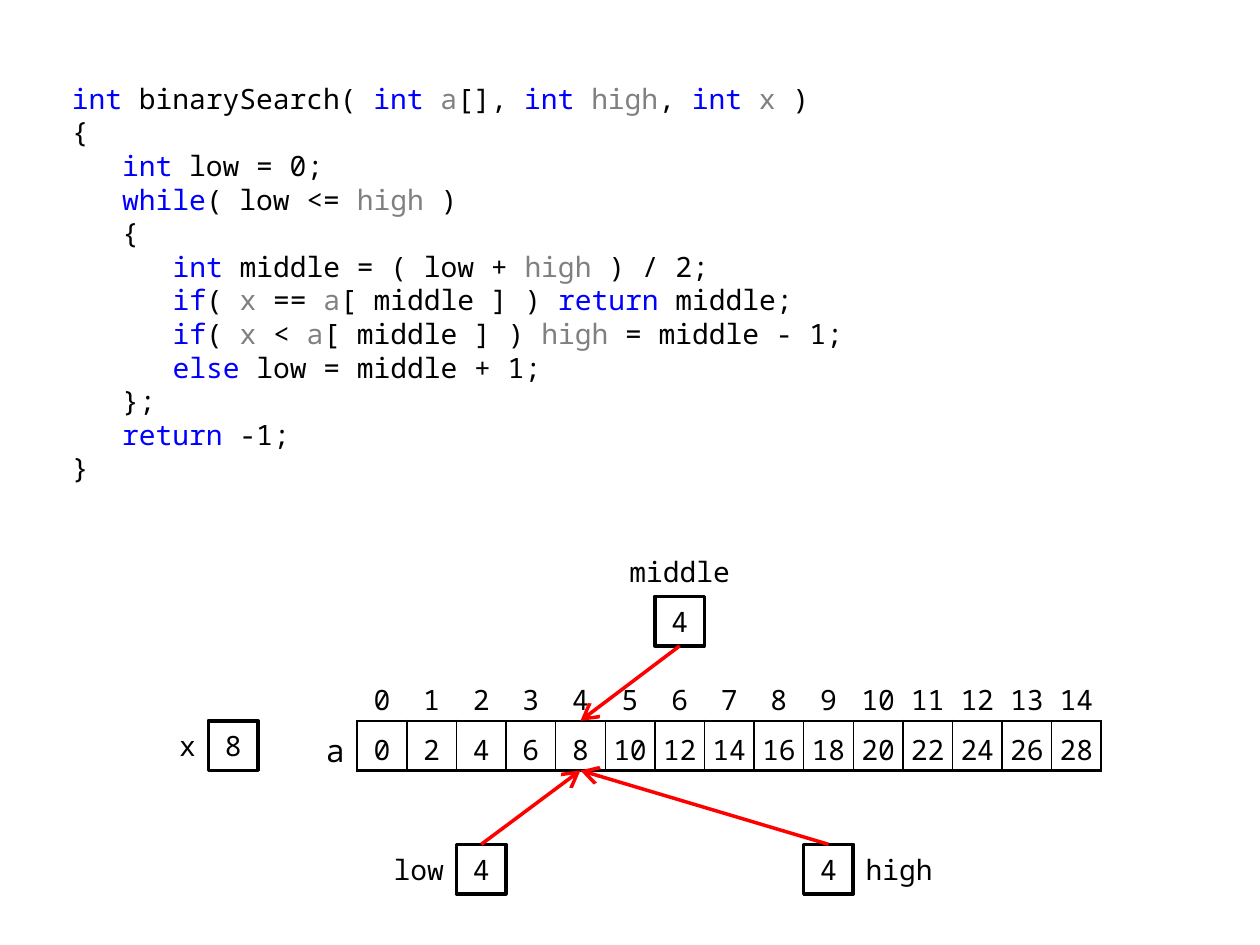
from itertools import groupby

from lxml import etree
from pptx import Presentation
from pptx.dml.color import RGBColor
from pptx.enum.shapes import MSO_CONNECTOR, MSO_SHAPE
from pptx.enum.text import MSO_ANCHOR, PP_ALIGN
from pptx.oxml.ns import qn
from pptx.util import Pt

LEFT, CENTER, RIGHT = PP_ALIGN.LEFT, PP_ALIGN.CENTER, PP_ALIGN.RIGHT
MIDDLE, TOP = MSO_ANCHOR.MIDDLE, MSO_ANCHOR.TOP
RECTANGLE = MSO_SHAPE.RECTANGLE
STRAIGHT = MSO_CONNECTOR.STRAIGHT
TOP_SITE, BOTTOM_SITE = 0, 2

COLORS = {
    "text": "000000",
    "keyword": "0000FF",
    "parameter": "808080",
    "box": "FFFFFF",
    "arrow": "FF0000",
}
FONT = "Noto Sans Mono"
SIZE = 16
INDENT = 28.8  # three characters of code
PLAIN_TABLE_STYLE = "{2D5ABB26-0587-4C30-8999-92F81FD0307C}"

# Grid of the diagram: one cell is the width of an array element
CELL = 28.35
GRID_LEFT = 5.67
MIDDLE_TOP, ARRAY_TOP, BOUNDS_TOP = 340.75, 411.9, 482.5

KEYWORDS = {"int", "while", "if", "else", "return"}
PARAMETERS = {"a", "high", "x"}

# Indent level and text of each line
CODE = [
    (0, "int binarySearch( int a[], int high, int x )"),
    (0, "{"),
    (1, "int low = 0;"),
    (1, "while( low <= high )"),
    (1, "{"),
    (2, "int middle = ( low + high ) / 2;"),
    (2, "if( x == a[ middle ] ) return middle;"),
    (2, "if( x < a[ middle ] ) high = middle - 1;"),
    (2, "else low = middle + 1;"),
    (1, "};"),
    (1, "return -1;"),
    (0, "}"),
]
VALUES = range(0, 30, 2)
FOUND_INDEX = 4


def color(name):
    return RGBColor.from_string(COLORS[name])


def grid_x(column):
    return GRID_LEFT + column * CELL


def style_paragraph(paragraph, align=LEFT, size=SIZE):
    paragraph.alignment = align
    paragraph.font.name = FONT
    paragraph.font.size = Pt(size)
    paragraph.font.color.rgb = color("text")


def token_color(token):
    if token in KEYWORDS:
        return "keyword"
    return "parameter" if token in PARAMETERS else "text"


def add_code(slide, left, top, width, height):
    shape = slide.shapes.add_textbox(Pt(left), Pt(top), Pt(width), Pt(height))
    frame = shape.text_frame
    frame.word_wrap = True
    for number, (level, line) in enumerate(CODE):
        paragraph = frame.add_paragraph() if number else frame.paragraphs[0]
        paragraph.line_spacing = Pt(19.2)
        properties = paragraph._p.get_or_add_pPr()
        properties.set("marL", str(Pt(level * INDENT)))
        properties.set("indent", "0")
        style_paragraph(paragraph)
        for _, letters in groupby(line, key=str.isalpha):
            run = paragraph.add_run()
            run.text = "".join(letters)
            run.font.color.rgb = color(token_color(run.text))


def add_label(slide, text, column, top, columns, align):
    shape = slide.shapes.add_textbox(
        Pt(grid_x(column)), Pt(top), Pt(columns * CELL), Pt(CELL))
    frame = shape.text_frame
    frame.word_wrap = False
    frame.vertical_anchor = MIDDLE
    frame.text = text
    style_paragraph(frame.paragraphs[0], align)


def add_variable(slide, value, column, top):
    shape = slide.shapes.add_shape(
        RECTANGLE, Pt(grid_x(column)), Pt(top), Pt(CELL), Pt(CELL))
    shape.shadow.inherit = False
    shape.fill.solid()
    shape.fill.fore_color.rgb = color("box")
    shape.line.color.rgb = color("text")
    shape.line.width = Pt(2)
    frame = shape.text_frame
    frame.vertical_anchor = MIDDLE
    frame.text = value
    style_paragraph(frame.paragraphs[0], CENTER)
    return shape


def add_pointer(slide, variable, site, x, y):
    connector = slide.shapes.add_connector(STRAIGHT, 0, 0, Pt(x), Pt(y))
    connector.begin_connect(variable, site)
    connector.line.color.rgb = color("arrow")
    connector.line.width = Pt(2)
    etree.SubElement(connector.line._get_or_add_ln(), qn("a:tailEnd"),
                     type="arrow", w="lg", len="lg")
    etree.SubElement(connector._element.spPr, qn("a:effectLst"))


def set_borders(cell, **widths):
    """Draw borders; sides must be given in the order L, R, T, B."""
    properties = cell._tc.get_or_add_tcPr()
    for position, (side, width) in enumerate(widths.items()):
        line = etree.Element(qn("a:ln" + side), w=str(Pt(width)))
        fill = etree.SubElement(line, qn("a:solidFill"))
        etree.SubElement(fill, qn("a:srgbClr"), val=COLORS["text"])
        properties.insert(position, line)


def fill_cell(cell, text, align=CENTER, size=SIZE, margin=0, anchor=MIDDLE):
    cell.fill.background()
    cell.margin_left = cell.margin_right = Pt(margin)
    cell.margin_top = cell.margin_bottom = 0
    cell.vertical_anchor = anchor
    cell.text = text
    paragraph = cell.text_frame.paragraphs[0]
    paragraph.line_spacing = 1.2
    style_paragraph(paragraph, align, size)


def add_array(slide, column, top):
    count = len(VALUES)
    frame = slide.shapes.add_table(
        2, count + 1, Pt(grid_x(column)), Pt(top),
        Pt((count + 1) * CELL), Pt(2 * CELL))
    table = frame.table
    table.first_row = table.horz_banding = False
    table._tbl.tblPr.find(qn("a:tableStyleId")).text = PLAIN_TABLE_STYLE
    for table_column in table.columns:
        table_column.width = Pt(CELL)
    for row in table.rows:
        row.height = Pt(CELL)

    # Name of the array
    fill_cell(table.cell(0, 0), "")
    fill_cell(table.cell(1, 0), "a", RIGHT, 18, 7.2, TOP)
    set_borders(table.cell(1, 0), R=1.5)

    # Indices above the values
    for index, value in enumerate(VALUES):
        index_cell, value_cell = table.cell(0, index + 1), table.cell(1, index + 1)
        fill_cell(index_cell, str(index))
        set_borders(index_cell, B=1.5)
        fill_cell(value_cell, str(value))
        set_borders(value_cell, L=1 if index else 1.5,
                    R=1 if index < count - 1 else 1.5, T=1.5, B=1.5)


def main():
    presentation = Presentation()
    presentation.slide_width, presentation.slide_height = Pt(720), Pt(540)
    slide = presentation.slides.add_slide(presentation.slide_layouts[6])

    add_code(slide, 34, 43, 468, 241)
    add_array(slide, 6, ARRAY_TOP - CELL)

    # Variables and their names
    add_label(slide, "middle", 12, MIDDLE_TOP - CELL, 3, CENTER)
    middle = add_variable(slide, "4", 13, MIDDLE_TOP)
    add_label(slide, "low", 7.4, BOUNDS_TOP, 1.6, RIGHT)
    low = add_variable(slide, "4", 9, BOUNDS_TOP)
    high = add_variable(slide, "4", 16, BOUNDS_TOP)
    add_label(slide, "high", 17, BOUNDS_TOP, 2, LEFT)
    add_label(slide, "x", 3, ARRAY_TOP, 1, RIGHT)
    add_variable(slide, "8", 4, ARRAY_TOP)

    # Pointers to the element that is found
    found_x = grid_x(7 + FOUND_INDEX + 0.5)
    add_pointer(slide, low, TOP_SITE, found_x, ARRAY_TOP + CELL)
    add_pointer(slide, high, TOP_SITE, found_x, ARRAY_TOP + CELL)
    add_pointer(slide, middle, BOTTOM_SITE, found_x, ARRAY_TOP)

    presentation.save("out.pptx")


if __name__ == "__main__":
    main()
